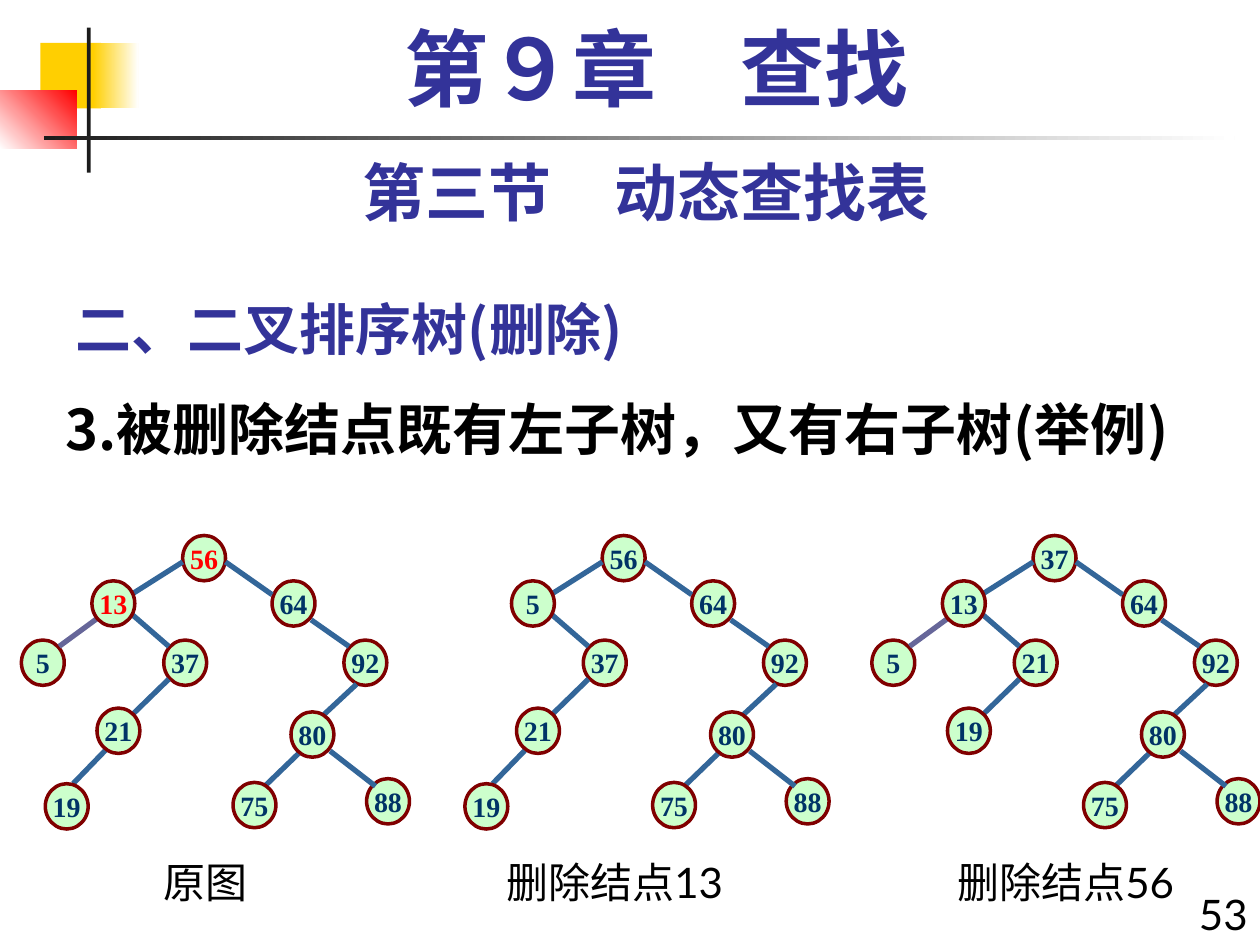
from dataclasses import dataclass

from lxml import etree
from pptx import Presentation
from pptx.dml.color import RGBColor
from pptx.enum.shapes import MSO_CONNECTOR, MSO_SHAPE
from pptx.enum.text import MSO_ANCHOR, MSO_AUTO_SIZE, PP_ALIGN
from pptx.oxml.ns import qn
from pptx.util import Inches, Pt

RECTANGLE, OVAL = MSO_SHAPE.RECTANGLE, MSO_SHAPE.OVAL
STRAIGHT = MSO_CONNECTOR.STRAIGHT
LEFT, CENTER, RIGHT = PP_ALIGN.LEFT, PP_ALIGN.CENTER, PP_ALIGN.RIGHT
TOP, MIDDLE, BOTTOM = MSO_ANCHOR.TOP, MSO_ANCHOR.MIDDLE, MSO_ANCHOR.BOTTOM
FIT_SHAPE, NO_FIT = MSO_AUTO_SIZE.SHAPE_TO_FIT_TEXT, MSO_AUTO_SIZE.NONE


@dataclass(frozen=True)
class Theme:
    heading: str = "333399"
    body: str = "000000"
    white: str = "FFFFFF"
    yellow: str = "FFCF01"
    red: str = "FF0000"
    dark: str = "1C1C1C"
    node_fill: str = "CCFFCC"
    node_line: str = "800000"
    node_text: str = "003366"
    edge: str = "336699"
    leaf_edge: str = "666699"
    sans: str = "Lato"
    chinese: str = "Noto Sans CJK SC"
    serif: str = "Times New Roman"
    chapter_size: int = 48
    section_size: int = 36
    heading_size: int = 32
    caption_size: int = 24
    node_size: int = 16


THEME = Theme()
NODE_WIDTH, NODE_HEIGHT = 0.34, 0.36

BACK_NODES = {
    "root": (1.45, 4.25), "R": (2.16, 4.61), "LL": (0.17, 5.08),
    "RR": (2.73, 5.08), "LR": (1.3, 5.08), "RRLR": (2.91, 6.18),
}
FRONT_NODES = {
    "LRLL": (0.36, 6.22), "RRL": (2.31, 5.65), "LRL": (0.77, 5.62),
    "L": (0.73, 4.61), "RRLL": (1.85, 6.21),
}
EDGES = {
    "L": (1.45, 4.46, 1.04, 4.72), "LL": (0.77, 4.91, 0.47, 5.13),
    "R": (1.79, 4.46, 2.16, 4.72), "LR": (1.04, 4.87, 1.34, 5.13),
    "LRL": (1.34, 5.39, 0.97, 5.75), "RR": (2.47, 4.92, 2.77, 5.13),
    "RRL": (2.83, 5.43, 2.54, 5.7), "RRLR": (2.62, 5.96, 2.98, 6.24),
    "LRLL": (0.88, 5.91, 0.58, 6.22), "RRLL": (2.37, 5.98, 2.08, 6.26),
}
RIGHT_BRANCH = {"R": 64, "RR": 92, "RRL": 80, "RRLL": 75, "RRLR": 88}
TREES = [
    (0, {"root": 56, "L": 13, "LL": 5, "LR": 37, "LRL": 21, "LRLL": 19}, {"root", "L"}),
    (3.33, {"root": 56, "L": 5, "LR": 37, "LRL": 21, "LRLL": 19}, set()),
    (6.75, {"root": 37, "L": 13, "LL": 5, "LR": 21, "LRL": 19}, set()),
]


def color(value):
    return RGBColor.from_string(value)


def write_text(frame, text, *, size, font, fill, bold=False, align=LEFT,
               anchor=TOP, wrap=True, fit=NO_FIT, spacing=None, hanging=0):
    frame.word_wrap = wrap
    frame.auto_size = fit
    frame.vertical_anchor = anchor
    paragraph = frame.paragraphs[0]
    paragraph.alignment = align
    if spacing:
        paragraph.line_spacing = spacing
    if hanging:
        properties = paragraph._p.get_or_add_pPr()
        properties.set("marL", str(Inches(hanging)))
        properties.set("indent", str(-Inches(hanging)))
    run = paragraph.add_run()
    run.text = text
    run.font.size = Pt(size)
    run.font.name = font
    run.font.bold = bold
    run.font.color.rgb = color(fill)
    east_asian = etree.SubElement(run._r.get_or_add_rPr(), qn("a:ea"))
    east_asian.set("typeface", THEME.chinese)


class SlideBuilder:
    def __init__(self, slide, theme):
        self.slide = slide
        self.theme = theme

    def bar(self, left, top, width, height, *colors, angle=0):
        shape = self.slide.shapes.add_shape(
            RECTANGLE, Inches(left), Inches(top), Inches(width), Inches(height))
        shape.shadow.inherit = False
        shape.line.fill.background()
        if len(colors) == 1:
            shape.fill.solid()
            shape.fill.fore_color.rgb = color(colors[0])
            return
        shape.fill.gradient()
        shape.fill.gradient_angle = angle
        for stop, position, value in zip(shape.fill.gradient_stops, (0, 1), colors):
            stop.position = position
            stop.color.rgb = color(value)

    def text(self, left, top, width, height, text, **text_format):
        box = self.slide.shapes.add_textbox(
            Inches(left), Inches(top), Inches(width), Inches(height))
        write_text(box.text_frame, text, **text_format)

    def node(self, group, left, top, label, fill):
        shape = group.shapes.add_shape(
            OVAL, Inches(left), Inches(top), Inches(NODE_WIDTH), Inches(NODE_HEIGHT))
        shape.shadow.inherit = False
        shape.fill.solid()
        shape.fill.fore_color.rgb = color(self.theme.node_fill)
        shape.line.color.rgb = color(self.theme.node_line)
        shape.line.width = Pt(2)
        write_text(shape.text_frame, str(label), size=self.theme.node_size,
                   font=self.theme.serif, fill=fill, bold=True,
                   align=CENTER, anchor=MIDDLE, wrap=False)

    def edge(self, group, start_x, start_y, end_x, end_y, stroke):
        line = group.shapes.add_connector(
            STRAIGHT, Inches(start_x), Inches(start_y), Inches(end_x), Inches(end_y))
        line.line.color.rgb = color(stroke)
        line.line.width = Pt(3)
        etree.SubElement(line._element.spPr, qn("a:effectLst"))

    def tree(self, offset, labels, highlighted):
        group = self.slide.shapes.add_group_shape()

        def draw_nodes(places):
            for name, (left, top) in places.items():
                if name in labels:
                    fill = self.theme.red if name in highlighted else self.theme.node_text
                    self.node(group, left + offset, top, labels[name], fill)

        draw_nodes(BACK_NODES)
        for child, (start_x, start_y, end_x, end_y) in EDGES.items():
            if child in labels:
                stroke = self.theme.leaf_edge if child == "LL" else self.theme.edge
                self.edge(group, start_x + offset, start_y, end_x + offset, end_y, stroke)
        draw_nodes(FRONT_NODES)


def main():
    presentation = Presentation()
    presentation.slide_width = Inches(10)
    presentation.slide_height = Inches(7.5)
    slide = presentation.slides.add_slide(presentation.slide_layouts[6])
    builder = SlideBuilder(slide, THEME)

    builder.bar(0.32, 0.34, 0.48, 0.52, THEME.yellow)
    builder.bar(0.74, 0.34, 0.36, 0.52, THEME.yellow, THEME.white)
    builder.bar(0, 0.72, 0.61, 0.46, THEME.white, THEME.red, angle=45)
    builder.bar(0.69, 0.22, 0.03, 1.15, THEME.dark)
    builder.bar(0.35, 1.08, 9.45, 0.03, THEME.dark, THEME.white)

    heading = dict(size=THEME.heading_size, font=THEME.chinese, bold=True)
    caption = dict(size=THEME.caption_size, font=THEME.sans, fill=THEME.body, fit=FIT_SHAPE)
    builder.text(0.5, 2.17, 6.25, 0.75, "二、二叉排序树(删除)",
                 fill=THEME.heading, anchor=BOTTOM, **heading)
    builder.text(9.33, 7, 0.67, 0.5, "53", align=RIGHT, **caption)
    builder.text(0.5, 1.17, 9.25, 0.7, "第三节　动态查找表", size=THEME.section_size,
                 font=THEME.sans, fill=THEME.heading, bold=True, align=CENTER, fit=FIT_SHAPE)
    builder.text(0.42, 3.08, 9.58, 4.42, "3.被删除结点既有左子树，又有右子树(举例)",
                 fill=THEME.body, hanging=0.38, **heading)
    builder.text(0.67, 0.17, 9.08, 0.83, "第９章　查找", size=THEME.chapter_size,
                 font=THEME.serif, fill=THEME.heading, bold=True, align=CENTER,
                 spacing=0.9, hanging=0.38)

    for offset, left_branch, highlighted in TREES:
        builder.tree(offset, left_branch | RIGHT_BRANCH, highlighted)

    builder.text(0.92, 6.75, 1.42, 0.5, "原图", align=CENTER, **caption)
    builder.text(3.92, 6.75, 2.08, 0.5, "删除结点13", **caption)
    builder.text(7.5, 6.75, 2, 0.5, "删除结点56", **caption)

    presentation.save("out.pptx")


if __name__ == "__main__":
    main()
